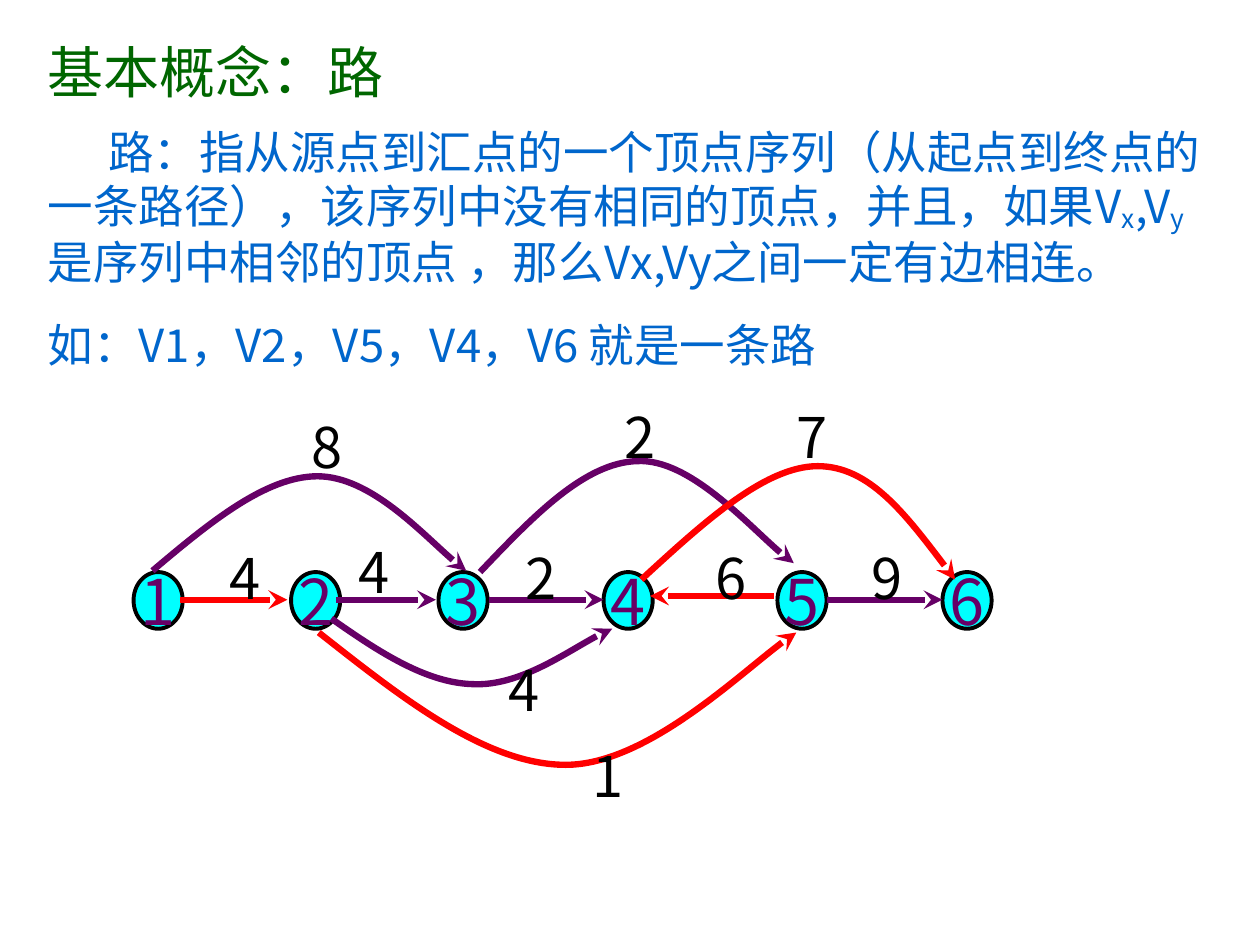
from lxml import etree
from pptx import Presentation
from pptx.dml.color import RGBColor
from pptx.enum.shapes import MSO_CONNECTOR, MSO_SHAPE
from pptx.enum.text import MSO_ANCHOR, PP_ALIGN
from pptx.oxml.ns import qn
from pptx.util import Inches, Pt

STRAIGHT = MSO_CONNECTOR.STRAIGHT
OVAL = MSO_SHAPE.OVAL
TOP, MIDDLE = MSO_ANCHOR.TOP, MSO_ANCHOR.MIDDLE
LEFT, CENTER = PP_ALIGN.LEFT, PP_ALIGN.CENTER

COLORS = {"title": "006600", "body": "0066CC", "weight": "000000",
          "node": "00FFFF", "outline": "000000", "edge": "660066", "route": "FF0000"}
TITLE_FONT = "Noto Sans CJK JP"
BODY_FONT = "Noto Sans CJK SC"
COLUMNS, ROWS = 100, 75
CELL = Inches(0.1)
LINE_FACTOR = 1.21


def cells(*lengths):
    return [round(length * CELL) for length in lengths]


class GraphSlide:
    def __init__(self, presentation):
        self.slide = presentation.slides.add_slide(presentation.slide_layouts[6])
        self.shapes = self.slide.shapes

    def color(self, name):
        return RGBColor.from_string(COLORS[name])

    def run(self, paragraph, text, size, color, font, baseline=0):
        run = paragraph.add_run()
        run.text = text
        run.font.size = Pt(size)
        run.font.name = font
        run.font.color.rgb = self.color(color)
        properties = run.font._element
        etree.SubElement(properties, qn("a:ea")).set("typeface", font)
        if baseline:
            properties.set("baseline", str(baseline * 1000))

    def text(self, box, paragraphs, size, color, font, anchor=TOP, gap=0, indent=0):
        frame = self.shapes.add_textbox(*cells(*box)).text_frame
        frame.word_wrap = True
        frame.vertical_anchor = anchor
        for index, pieces in enumerate(paragraphs):
            paragraph = frame.add_paragraph() if index else frame.paragraphs[0]
            paragraph.alignment = LEFT
            if anchor == TOP:
                paragraph.line_spacing = Pt(size * LINE_FACTOR)
            if index:
                paragraph.space_before = Pt(gap)
            elif indent:
                paragraph._p.get_or_add_pPr().set("indent", str(cells(indent)[0]))
            for piece, baseline in pieces:
                self.run(paragraph, piece, size, color, font, baseline)

    def node(self, left, name):
        oval = self.shapes.add_shape(OVAL, *cells(left, 45.4, 3.9, 4.5))
        oval.shadow.inherit = False
        oval.fill.solid()
        oval.fill.fore_color.rgb = self.color("node")
        oval.line.color.rgb = self.color("outline")
        oval.line.width = Pt(2.25)
        frame = oval.text_frame
        frame.word_wrap = False
        frame.vertical_anchor = MIDDLE
        frame.paragraphs[0].alignment = CENTER
        self.run(frame.paragraphs[0], name, 36, "edge", TITLE_FONT)

    def weight(self, left, top, value):
        self.text((left, top + 0.2, 5.2, 6.4), [[(value, 0)]], 32, "weight", TITLE_FONT)

    def arrow(self, line, color):
        line.color.rgb = self.color(color)
        line.width = Pt(3.63)
        etree.SubElement(line._get_or_add_ln(), qn("a:tailEnd")).set("type", "stealth")

    def straight(self, start, end, row, color):
        edge = self.shapes.add_connector(STRAIGHT, *cells(start, row, end, row))
        self.arrow(edge.line, color)
        etree.SubElement(edge._element.spPr, qn("a:effectLst"))

    def curve(self, points, color):
        start, *rest = [cells(*point) for point in points]
        builder = self.shapes.build_freeform(*start)
        builder.add_line_segments(rest, close=False)
        edge = builder.convert_to_shape()
        segments = edge._element.findall(".//" + qn("a:lnTo"))
        outline = segments[0].getparent()
        for first in range(0, len(segments), 3):
            bezier = etree.SubElement(outline, qn("a:cubicBezTo"))
            for segment in segments[first:first + 3]:
                bezier.append(segment[0])
                outline.remove(segment)
        edge.fill.background()
        edge.shadow.inherit = False
        self.arrow(edge.line, color)


def main():
    presentation = Presentation()
    presentation.slide_width, presentation.slide_height = cells(COLUMNS, ROWS)
    graph = GraphSlide(presentation)

    graph.text((2.8, -0.1, 71.1, 11.5), [[("基本概念：路", 0)]], 32, "title", TITLE_FONT, MIDDLE)
    definition = [
        ("路：指从源点到汇点的一个顶点序列（从起点到终点的一条路径），该序列中没有相同的顶点，并且，如果V", 0),
        ("x", -10), (",V", 0), ("y", -10),
        ("是序列中相邻的顶点 ，那么Vx,Vy之间一定有边相连。", 0)]
    example = [("如：V1，V2，V5，V4，V6 就是一条路", 0)]
    graph.text((2.8, 9.3, 93.7, 20.7), [definition, example], 26, "body", BODY_FONT,
               gap=16.2, indent=4.8)

    for name, left in enumerate((10.6, 23.1, 34.8, 47.9, 61.7, 74.8), 1):
        graph.node(left, str(name))

    for start, end, row, color in (
            (14.3, 22.8, 47.6, "route"), (26.7, 34.6, 47.6, "edge"),
            (38.8, 47.9, 47.6, "edge"), (61.4, 51.6, 47.3, "route"),
            (65.6, 74.8, 47.6, "edge")):
        graph.straight(start, end, row, color)

    for color, points in (
            ("edge", [(12.1, 45.3), (16.6, 41.5), (21.1, 37.8), (25.2, 37.8),
                      (29.4, 37.8), (35.1, 44), (37, 45.3)]),
            ("edge", [(38.1, 45.4), (42.3, 41), (46.4, 36.7), (50.6, 36.6),
                      (54.7, 36.4), (60.9, 43.3), (63, 44.7)]),
            ("route", [(50.9, 46), (55.8, 41.5), (60.7, 37), (64.9, 37),
                       (69, 37), (72.4, 41.5), (75.8, 46)]),
            ("edge", [(26.3, 49.1), (30, 51.7), (33.8, 54.2), (37.5, 54.3),
                      (41.2, 54.5), (46.7, 50.6), (48.6, 49.9)]),
            ("route", [(25.3, 50.2), (31.9, 55.4), (38.6, 60.7), (44.9, 60.7),
                       (51.2, 60.7), (60.3, 52), (63.2, 50.2)])):
        graph.curve(points, color)

    for value, left, top in (
            ("7", 62.2, 31.2), ("2", 48.6, 31.2), ("8", 23.7, 32), ("4", 17.2, 42.4),
            ("4", 27.5, 41.9), ("2", 40.7, 42.4), ("6", 55.8, 42.4), ("9", 68.2, 42.4),
            ("4", 39.4, 51.3), ("1", 46, 58.1)):
        graph.weight(left, top, value)

    presentation.save("out.pptx")


if __name__ == "__main__":
    main()
